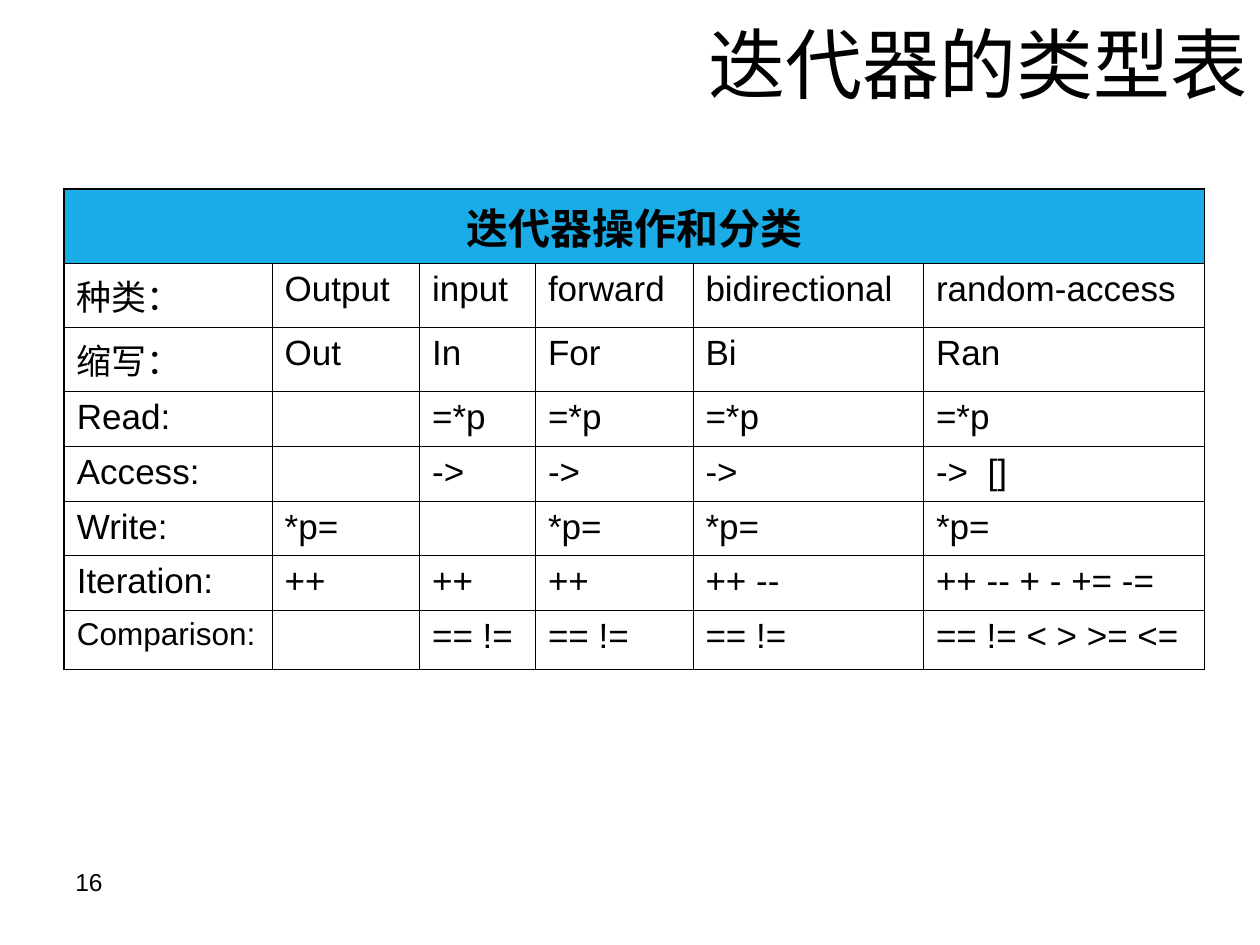
from lxml import etree
from pptx import Presentation
from pptx import util as u
from pptx.dml.color import RGBColor
from pptx.enum import text
from pptx.oxml.ns import qn

HUES = {"ink": "000000", "head": "19ACE7"}
THIN, THICK = 0.45, 1.08
COLS = [1.65, 1.17, 0.92, 1.25, 1.83, 2.23]
TALLS = [0.59, 0.51, 0.51, 0.41, 0.41, 0.41, 0.41, 0.47]
ROWS = [
    ["迭代器操作和分类", "", "", "", "", ""],
    ["种类：", "Output", "input", "forward", "bidirectional", "random-access"],
    ["缩写：", "Out", "In", "For", "Bi", "Ran"],
    ["Read:", "", "=*p", "=*p", "=*p", "=*p"],
    ["Access:", "", "->", "->", "->", "->  []"],
    ["Write:", "*p=", "", "*p=", "*p=", "*p="],
    ["Iteration:", "++", "++", "++", "++ --", "++ -- + - += -="],
    ["Comparison:", "", "== !=", "== !=", "== !=", "== != < > >= <="],
]


class Deck:
    def __init__(self, slide, font="Arial"):
        self.slide = slide
        self.font = font

    def add_run(self, frame, words, size, align="LEFT", bold=False, before=0):
        par = frame.paragraphs[0]
        par.alignment = text.PP_ALIGN[align]
        par.space_before = u.Pt(before)
        run = par.add_run()
        run.text = words
        run.font.name = self.font
        run.font.size = u.Pt(size)
        run.font.bold = bold
        run.font.color.rgb = RGBColor.from_string(HUES["ink"])

    def label(self, words, box, size, align="LEFT", anchor="TOP"):
        shape = self.slide.shapes.add_textbox(*map(u.Inches, box))
        frame = shape.text_frame
        frame.word_wrap = True
        frame.vertical_anchor = text.MSO_ANCHOR[anchor]
        self.add_run(frame, words, size, align)

    def edge(self, cell, widths):
        """Draw the cell's borders; widths maps L, R, T and B to points."""
        props = cell._tc.get_or_add_tcPr()
        for side, width in widths.items():
            line = etree.SubElement(props, qn(f"a:ln{side}"), w=str(u.Pt(width)))
            fill = etree.SubElement(line, qn("a:solidFill"))
            etree.SubElement(fill, qn("a:srgbClr"), val=HUES["ink"])

    def table(self, rows, left, top, cols, talls):
        box = map(u.Inches, (left, top, sum(cols), sum(talls)))
        grid = self.slide.shapes.add_table(len(rows), len(cols), *box).table
        grid.first_row = grid.horz_banding = False
        for col, width in zip(grid.columns, cols):
            col.width = u.Inches(width)
        for row, tall in zip(grid.rows, talls):
            row.height = u.Inches(tall)
        for i, row in enumerate(rows):
            for j, words in enumerate(row):
                cell = grid.cell(i, j)
                outer = {"L": j == 0, "R": j == len(cols) - 1,
                         "T": i == 0, "B": i == len(rows) - 1}
                self.edge(cell, {s: THICK if out else THIN for s, out in outer.items()})
                if i == 0:
                    cell.fill.solid()
                    cell.fill.fore_color.rgb = RGBColor.from_string(HUES["head"])
                else:
                    cell.fill.background()
                if not words:
                    continue
                if i == 0:
                    self.add_run(cell.text_frame, words, 24, "CENTER", True, 6)
                else:
                    size = 18 if words == "Comparison:" else 20
                    self.add_run(cell.text_frame, words, size, before=size / 4)
        grid.cell(0, 0).merge(grid.cell(0, len(cols) - 1))


def main():
    show = Presentation()
    show.slide_width, show.slide_height = u.Inches(10), u.Inches(7.5)
    deck = Deck(show.slides.add_slide(show.slide_layouts[6]))
    deck.label("16", (0.5, 6.83, 2.33, 0.52), 14)
    deck.label("迭代器的类型表", (1, 0, 9, 0.99), 44, "RIGHT", "MIDDLE")
    deck.table(ROWS, 0.51, 1.5, COLS, TALLS)
    show.save("out.pptx")


if __name__ == "__main__":
    main()
